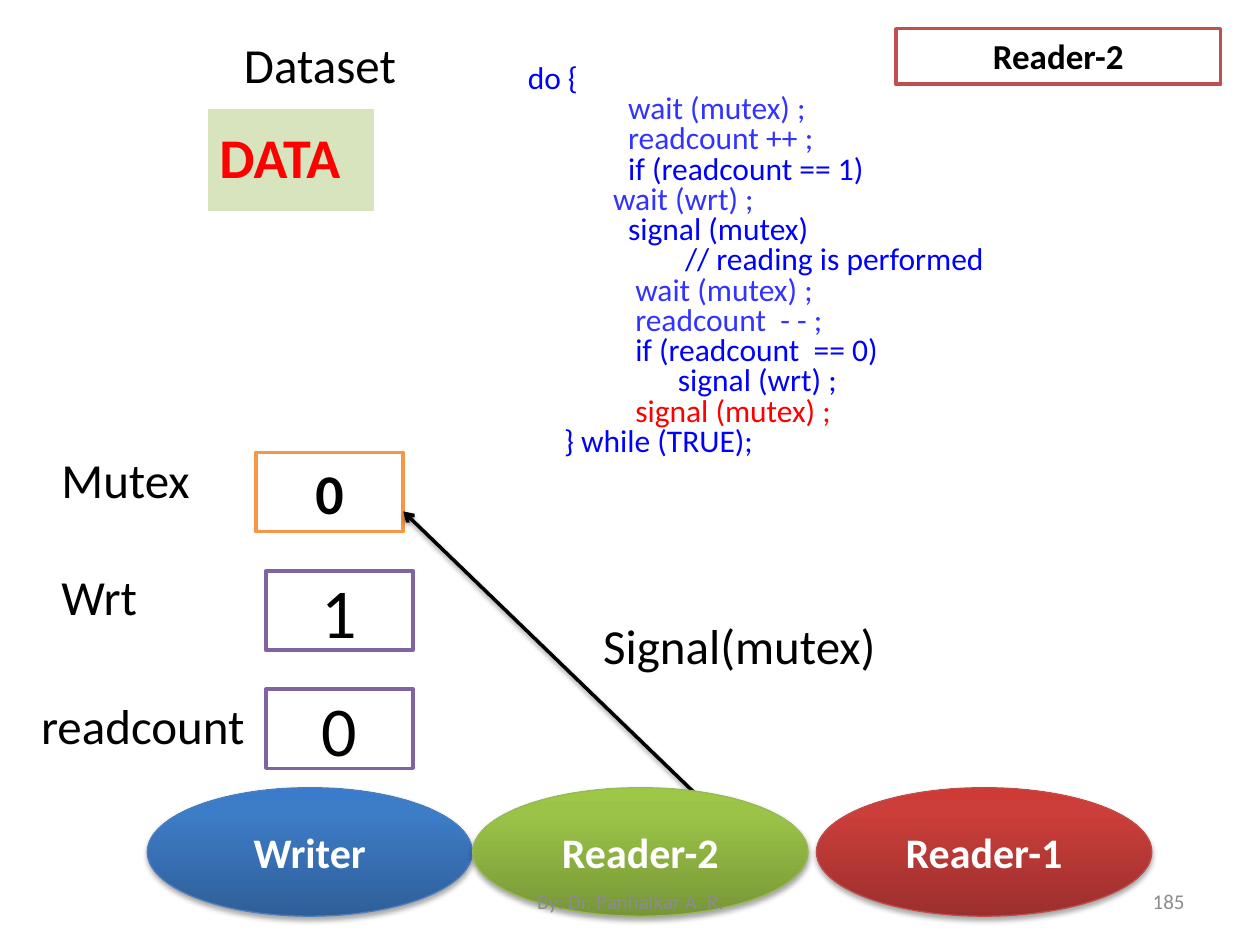
"""Build the readers-writers slide: Reader-2 signals the mutex."""
from copy import deepcopy

from lxml.etree import SubElement
from pptx import Presentation
from pptx.dml.color import RGBColor
from pptx.enum.shapes import MSO_CONNECTOR, MSO_SHAPE
from pptx.enum.text import MSO_ANCHOR, PP_ALIGN
from pptx.oxml.ns import qn
from pptx.util import Cm, Pt

BLACK = RGBColor(0x00, 0x00, 0x00)
WHITE = RGBColor(0xFF, 0xFF, 0xFF)
RED = RGBColor(0xFF, 0x00, 0x00)
BLUE = RGBColor(0x00, 0x00, 0xFF)
INDIGO = RGBColor(0x33, 0x33, 0xFF)
GRAY = RGBColor(0x8C, 0x8C, 0x8C)
ORANGE = RGBColor(0xF7, 0x96, 0x46)
PURPLE = RGBColor(0x80, 0x64, 0xA2)
BRICK = RGBColor(0xC0, 0x50, 0x4D)
PALE_GREEN = RGBColor(0xD7, 0xE4, 0xBD)
WRITER_BLUES = [RGBColor.from_string(c) for c in ("2F5F99", "3D7CC7", "3A7CCB", "4B7EBC")]
READER_REDS = [RGBColor.from_string(c) for c in ("9C2F2D", "CB3E3A", "CE3B37", "BF4C48")]
READER_GREENS = [RGBColor.from_string(c) for c in ("779737", "9BC348", "9DC746", "98B955")]

LEFT, CENTER, RIGHT = PP_ALIGN.LEFT, PP_ALIGN.CENTER, PP_ALIGN.RIGHT
TOP, MIDDLE = MSO_ANCHOR.TOP, MSO_ANCHOR.MIDDLE

LABELS = [
    ("Mutex", (0.99, 8.94, 3.38, 1.45), LEFT),
    ("Wrt", (0.99, 11.3, 5.16, 1.45), LEFT),
    ("readcount", (0.58, 13.89, 5.16, 1.45), LEFT),
    ("Dataset", (1.19, 0.58, 10.52, 1.45), CENTER),
    ("Signal(mutex)", (11.91, 12.29, 8.13, 1.45), LEFT),
]
BOXES = [
    ("0", (5.16, 9.12, 2.97, 1.6), ORANGE, 32, True, MIDDLE),
    ("1", (5.36, 11.51, 2.97, 1.6), PURPLE, 40, False, MIDDLE),
    ("0", (5.36, 13.89, 2.97, 1.6), PURPLE, 40, False, MIDDLE),
    ("Reader-2", (18.06, 0.58, 6.55, 1.12), BRICK, 20, True, TOP),
]
PROCESSES = [
    ("Writer", 2.97, 6.55, WRITER_BLUES),
    ("Reader-1", 16.46, 6.76, READER_REDS),
    ("Reader-2", 9.53, 6.76, READER_GREENS),
]
CODE = [
    ("\tdo {", BLUE),
    ("                       wait (mutex) ;", INDIGO),
    ("                       readcount ++ ;", INDIGO),
    ("                       if (readcount == 1)", BLUE),
    ("\t            wait (wrt) ;", INDIGO),
    ("                       signal (mutex)", BLUE),
    ("                               // reading is performed", BLUE),
    ("                        wait (mutex) ;", INDIGO),
    ("                        readcount  - - ;", INDIGO),
    ("                        if (readcount  == 0)", BLUE),
    ("                              signal (wrt) ;", BLUE),
    ("                        signal (mutex) ;", RED),
    ("              } while (TRUE);", BLUE),
]
FOOTERS = [
    ("185", (18.21, 17.65, 5.92, 1.02), RIGHT),
    ("By: Dr. Panhalkar A. R.", (8.69, 17.65, 8.05, 1.02), CENTER),
]


def write(tf, lines, size, bold=False, align=LEFT, anchor=TOP, spacing=None):
    tf.word_wrap = True
    tf.vertical_anchor = anchor
    tf.text = "\n".join(text for text, _ in lines)
    for p, (_, color) in zip(tf.paragraphs, lines):
        p.alignment = align
        p.line_spacing = spacing
        for r in p.runs:
            r.font.name = "Calibri"
            r.font.size = Pt(size)
            r.font.bold = bold
            r.font.color.rgb = color


def add_text(s, at, lines, size, **style):
    write(s.shapes.add_textbox(*map(Cm, at)).text_frame, lines, size, **style)


def add_shadow(effects, blur, distance, opacity):
    shadow = SubElement(effects, qn("a:outerShdw"), blurRad=str(Pt(blur)),
                        dist=str(Pt(distance)), dir="5400000", rotWithShape="0")
    color = SubElement(shadow, qn("a:srgbClr"), val="000000")
    SubElement(color, qn("a:alpha"), val=str(opacity * 1000))


def add_box(s, text, at, border, size, bold, anchor):
    sp = s.shapes.add_shape(MSO_SHAPE.RECTANGLE, *map(Cm, at))
    sp.shadow.inherit = False
    sp.fill.solid()
    sp.fill.fore_color.rgb = WHITE
    sp.line.color.rgb = border
    sp.line.width = Pt(2)
    write(sp.text_frame, [(text, BLACK)], size, bold, CENTER, anchor)


def add_process(s, text, left, width, colors):
    sp = s.shapes.add_shape(MSO_SHAPE.OVAL, Cm(left), Cm(15.88), Cm(width), Cm(2.59))
    sp.shadow.inherit = False
    add_shadow(sp._element.spPr.find(qn("a:effectLst")), 3.1, 1.8, 35)
    sp.fill.gradient()
    sp.fill.gradient_angle = 90
    stop_list = sp._element.spPr.find(".//" + qn("a:gsLst"))
    stop_list.append(deepcopy(stop_list[-1]))
    for stop, position, color in zip(sp.fill.gradient_stops, (0, 0.8, 1), colors):
        stop.position = position
        stop.color.rgb = color
    sp.line.color.rgb = colors[-1]
    sp.line.width = Pt(0.75)
    write(sp.text_frame, [(text, WHITE)], 24, True, CENTER, MIDDLE)


def add_arrow(s, start, end):
    line = s.shapes.add_connector(MSO_CONNECTOR.STRAIGHT, *map(Cm, start + end))
    line.line.color.rgb = BLACK
    line.line.width = Pt(2)
    SubElement(line.line._get_or_add_ln(), qn("a:tailEnd"), type="arrow")
    add_shadow(SubElement(line._element.spPr, qn("a:effectLst")), 3.1, 1.6, 38)


def add_data_table(s):
    table = s.shapes.add_table(1, 1, Cm(4.17), Cm(2.18), Cm(3.38), Cm(2.08)).table
    table.first_row = table.horz_banding = False
    cell = table.cell(0, 0)
    cell.fill.solid()
    cell.fill.fore_color.rgb = PALE_GREEN
    write(cell.text_frame, [("DATA", RED)], 32, True)
    cell.vertical_anchor = MIDDLE


def main():
    prs = Presentation()
    prs.slide_width, prs.slide_height = Cm(25.4), Cm(19.05)
    s = prs.slides.add_slide(prs.slide_layouts[6])
    add_data_table(s)
    for text, at, align in LABELS:
        add_text(s, at, [(text, BLACK)], 28, align=align)
    for box in BOXES:
        add_box(s, *box)
    add_text(s, (9.12, 1.19, 12.7, 8.26), CODE, 18, spacing=0.8)
    add_arrow(s, (14.1, 16.08), (8.13, 10.31))
    for process in PROCESSES:
        add_process(s, *process)
    for text, at, align in FOOTERS:
        add_text(s, at, [(text, GRAY)], 12, align=align, anchor=MIDDLE)
    prs.save("out.pptx")


if __name__ == "__main__":
    main()
